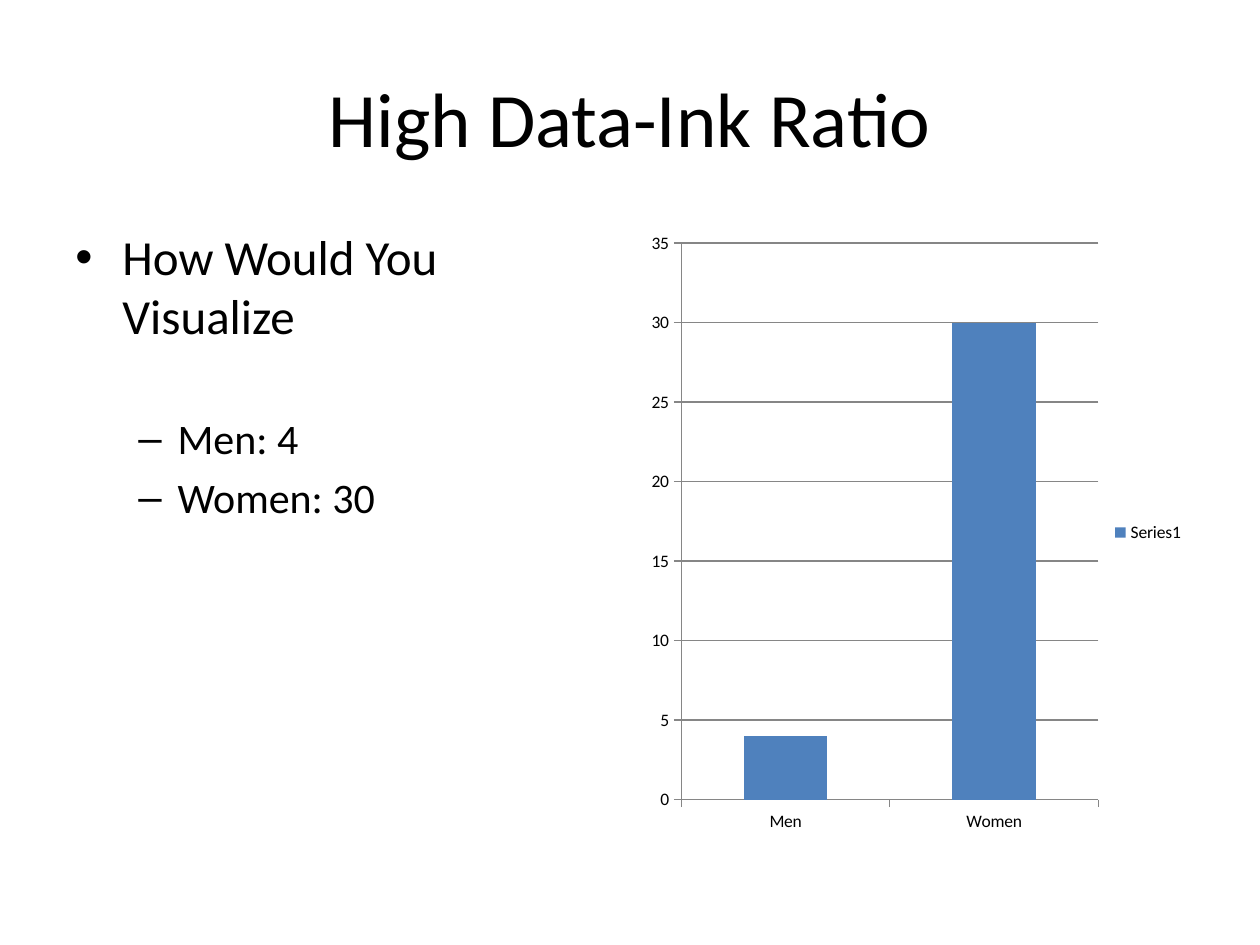
from lxml.etree import SubElement
from pptx import Presentation
from pptx.chart.data import CategoryChartData
from pptx.dml.color import RGBColor
from pptx.enum.chart import XL_CHART_TYPE as ChartType
from pptx.enum.chart import XL_LEGEND_POSITION as LegendPosition
from pptx.enum.chart import XL_TICK_MARK as TickMark
from pptx.enum.text import MSO_ANCHOR as Anchor
from pptx.enum.text import PP_ALIGN as Align
from pptx.oxml.ns import qn
from pptx.util import Cm, Pt

COLORS = {"text": "000000", "bar": "4F81BD", "rule": "868686"}
FONT = "Calibri"


class SlideBuilder:
    """Holds the style and the current slide."""

    def __init__(self, slide):
        self.slide = slide

    def color(self, name):
        """Return a palette colour."""
        return RGBColor.from_string(COLORS[name])

    def style(self, font, size):
        """Apply the common typeface and colour at a size in points."""
        font.name, font.size = FONT, Pt(size)
        font.color.rgb = self.color("text")

    def frame(self, box, anchor=Anchor.TOP):
        """Add a wrapping text box and return its text frame."""
        frame = self.slide.shapes.add_textbox(*map(Cm, box)).text_frame
        frame.word_wrap = True
        frame.vertical_anchor = anchor
        return frame

    def title(self, words, box):
        """Add the centred slide title."""
        heading = self.frame(box, Anchor.MIDDLE).paragraphs[0]
        heading.text = words
        heading.alignment = Align.CENTER
        self.style(heading.font, 44)

    def bullets(self, items, box):
        """Add a list of (text, level, size, space before, bullet)."""
        frame = self.frame(box)
        for index, (words, level, size, before, bullet) in enumerate(items):
            item = frame.add_paragraph() if index else frame.paragraphs[0]
            item.text, item.level = words, level
            item.space_before = Pt(before)
            self.style(item.font, size)
            margin, hanging = ((0.95, 0.95), (2.06, 0.79))[level]
            props = item._p.get_or_add_pPr()
            props.set("marL", str(Cm(margin)))
            props.set("indent", str(-Cm(hanging)))
            SubElement(props, qn("a:buFont")).set("typeface", "Arial")
            SubElement(props, qn("a:buChar")).set("char", bullet)

    def columns(self, categories, name, values, box):
        """Add a clustered column chart with one series."""
        data = CategoryChartData()
        data.categories = categories
        data.add_series(name, values)
        chart = self.slide.shapes.add_chart(
            ChartType.COLUMN_CLUSTERED, *map(Cm, box), data).chart
        self.style(chart.font, 10)
        chart.has_title = False
        chart.has_legend = True
        chart.legend.position = LegendPosition.RIGHT
        chart.legend.include_in_layout = False
        plot = chart.plots[0]
        plot.gap_width, plot.vary_by_categories = 150, False
        bars = plot.series[0].format.fill
        bars.solid()
        bars.fore_color.rgb = self.color("bar")
        chart.value_axis.has_major_gridlines = True
        for axis in (chart.category_axis, chart.value_axis):
            axis.major_tick_mark = TickMark.OUTSIDE
            axis.minor_tick_mark = TickMark.NONE
        for ruled in (chart.category_axis, chart.value_axis,
                      chart.value_axis.major_gridlines):
            ruled.format.line.color.rgb = self.color("rule")
            ruled.format.line.width = Pt(0.75)


def main():
    """Build and save the slide."""
    deck = Presentation()
    deck.slide_width, deck.slide_height = Cm(25.4), Cm(19.05)
    builder = SlideBuilder(deck.slides.add_slide(deck.slide_layouts[6]))
    left, top, width, height = 1.27, 4.45, 11.22, 12.57
    right = 25.4 - left - width
    counts = {"Men": 4, "Women": 30}

    builder.title("High Data-Ink Ratio", (left, 0.76, 22.86, 3.18))
    items = [("How Would You Visualize", 0, 28, 5.6, "•")]
    for (group, count), before in zip(counts.items(), (39, 4.8)):
        items.append((f"{group}: {count}", 1, 24, before, "–"))
    builder.bullets(items, (left, top, width, height))
    builder.columns(list(counts), "Series1", list(counts.values()),
                    (right, top, width, height))
    deck.save("out.pptx")


main()
